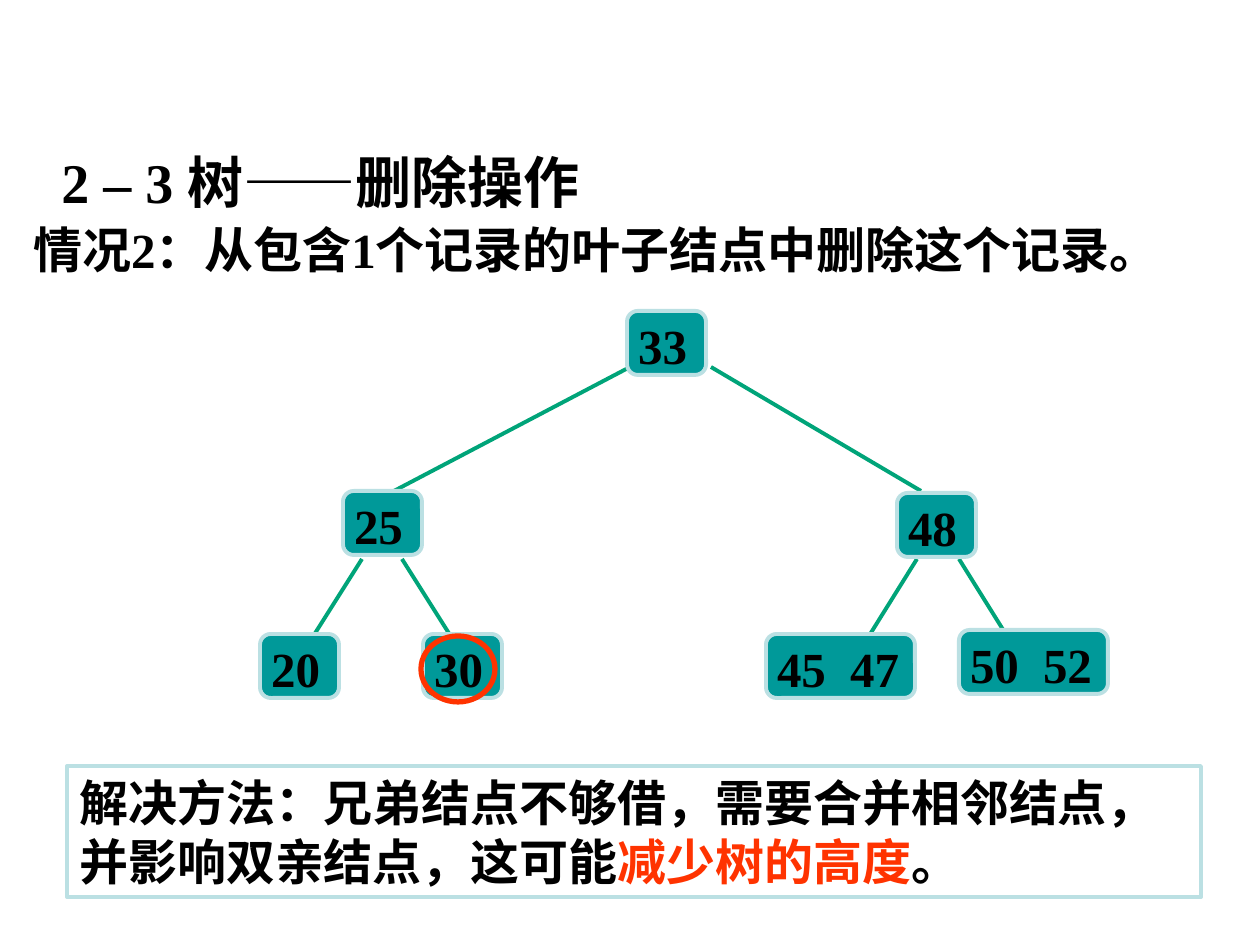
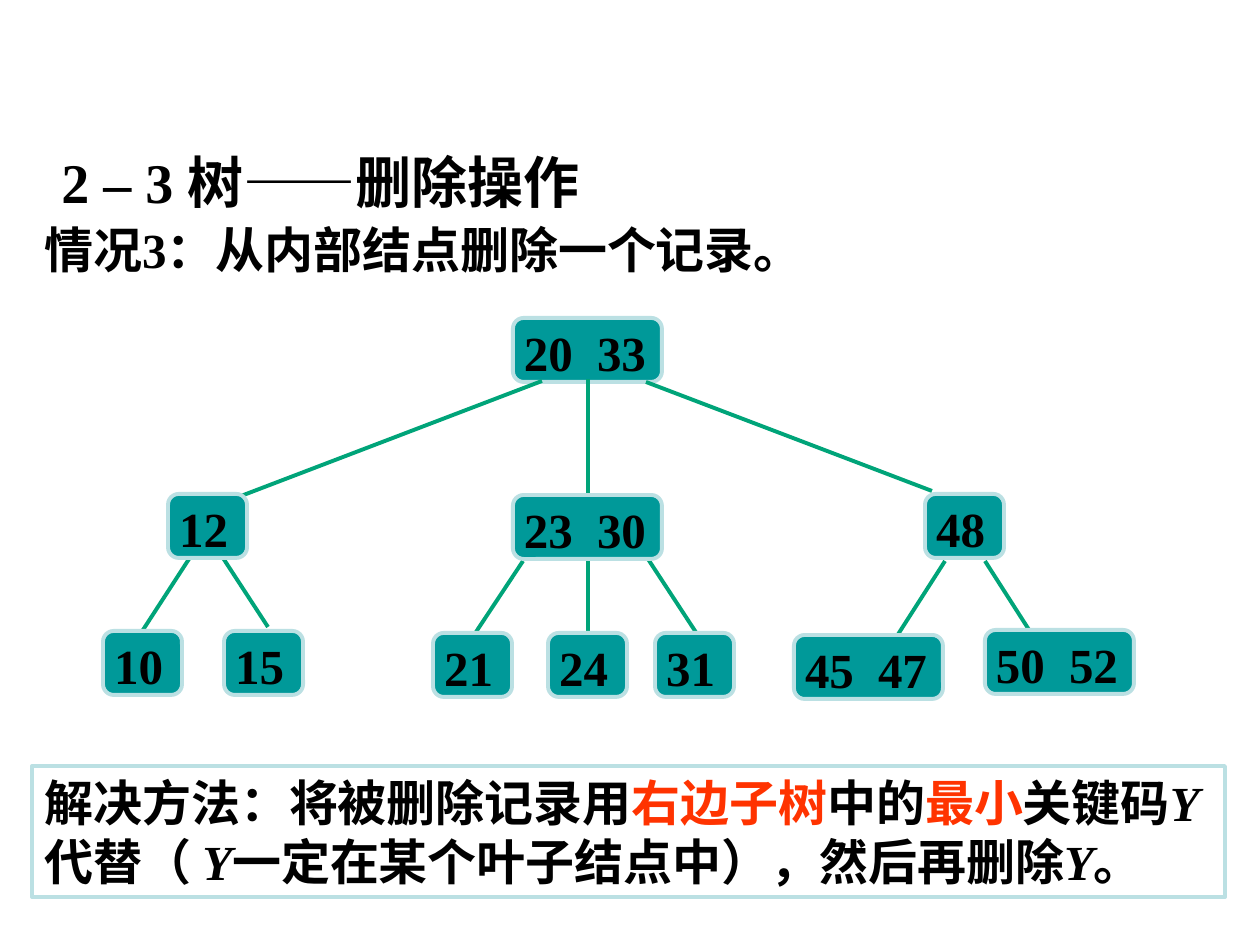
from lxml import etree
from pptx import Presentation
from pptx import util as u
from pptx.dml.color import RGBColor
from pptx.enum import lang, shapes, text
from pptx.oxml.ns import qn

DPI = 126
FONT = "Times New Roman"
INK, RED = "000000", "FF3300"
TEAL, PALE, GREEN = "009999", "BBE0E3", "00A479"
NODE_H, KEY_GAP = 64, 73
WIDTHS = {1: 79, 2: 149}  # node width by number of keys


def px(n):
    return u.Emu(round(n * 914400 / DPI))


def rgb(code):
    return RGBColor.from_string(code)


def style(font, size):
    font.name, font.size, font.bold = FONT, u.Pt(size), True
    font.color.rgb = rgb(INK)
    font.language_id = lang.MSO_LANGUAGE_ID.SIMPLIFIED_CHINESE


def label(slide, words, box, size, wrap=True, anchor=text.MSO_ANCHOR.MIDDLE):
    frame = slide.shapes.add_textbox(*map(px, box)).text_frame
    frame.word_wrap, frame.vertical_anchor = wrap, anchor
    frame.auto_size = text.MSO_AUTO_SIZE.SHAPE_TO_FIT_TEXT
    para = frame.paragraphs[0]
    style(para.font, size)
    para.add_run().text = words


def shape(slide, kind, box, line, fill=None, weight=2.25):
    item = slide.shapes.add_shape(kind, *map(px, box))
    item.shadow.inherit = False
    if fill:
        item.fill.solid()
        item.fill.fore_color.rgb = rgb(fill)
    else:
        item.fill.background()
    item.line.color.rgb = rgb(line)
    item.line.width = u.Pt(weight)
    return item


def edge(slide, x1, y1, x2, y2):
    line = slide.shapes.add_connector(
        shapes.MSO_CONNECTOR.STRAIGHT, *map(px, (x1, y1, x2, y2)))
    line.line.color.rgb = rgb(GREEN)
    line.line.width = u.Pt(2.25)
    etree.SubElement(line._element.spPr, qn("a:effectLst"))


def node(slide, x, y, *keys):
    """Draw a tree node; a tab stop sets its second key apart."""
    item = shape(slide, shapes.MSO_SHAPE.ROUNDED_RECTANGLE,
                 (x, y, WIDTHS[len(keys)], NODE_H), PALE, TEAL)
    frame = item.text_frame
    frame.word_wrap, frame.vertical_anchor = True, text.MSO_ANCHOR.TOP
    frame.margin_left, frame.margin_right = px(8), px(2)
    frame.margin_top = frame.margin_bottom = px(1)
    para = frame.paragraphs[0]
    para.alignment = text.PP_ALIGN.LEFT
    if len(keys) > 1:
        tabs = etree.SubElement(para._p.get_or_add_pPr(), qn("a:tabLst"))
        etree.SubElement(tabs, qn("a:tab"), pos=str(px(KEY_GAP)), algn="l")
    style(para.font, 28)
    para.add_run().text = "\t".join(map(str, keys))


def tree(slide, edges, nodes):
    for ends in edges:
        edge(slide, *ends)
    for spot in nodes:
        node(slide, *spot)


def answer(slide, x, width, runs):
    """Draw the framed solution; runs are (words, mark), mark "red" or "it"."""
    item = shape(slide, shapes.MSO_SHAPE.RECTANGLE, (x, 766, width, 131), PALE)
    frame = item.text_frame
    frame.word_wrap, frame.vertical_anchor = True, text.MSO_ANCHOR.MIDDLE
    para = frame.paragraphs[0]
    para.alignment = text.PP_ALIGN.LEFT
    style(para.font, 28)
    for words, mark in runs:
        run = para.add_run()
        run.text = words
        run.font.color.rgb = rgb(RED if mark == "red" else INK)
        if mark == "it":
            run.font.italic = True


def page(deck, case, x, width):
    slide = deck.slides.add_slide(deck.slide_layouts[6])
    label(slide, "2 – 3 树——删除操作", (49, 141, 576, 81), 32,
          anchor=text.MSO_ANCHOR.TOP)
    label(slide, case, (x, 213, width, 72), 28, wrap=False)
    return slide


def leaf(deck):
    slide = page(deck, "情况2：从包含1个记录的叶子结点中删除这个记录。", 21, 1208)
    tree(slide,
         [(630, 367, 394, 491), (711, 367, 921, 491),
          (362, 559, 314, 635), (402, 559, 450, 635),
          (917, 559, 869, 636), (959, 559, 1007, 636)],
         [(627, 311, 33), (343, 491, 25), (897, 493, 48),
          (260, 634, 20), (423, 634, 30),
          (766, 634, 45, 47), (959, 630, 50, 52)])
    shape(slide, shapes.MSO_SHAPE.OVAL, (421, 636, 74, 66), RED, weight=3)
    answer(slide, 67, 1134, [
        ("解决方法：兄弟结点不够借，需要合并相邻结点，并影响双亲结点，这可能", ""),
        ("减少树的高度", "red"), ("。", "")])


def inner(deck):
    slide = page(deck, "情况3：从内部结点删除一个记录。", 32, 818)
    node(slide, 513, 318, 20, 33)
    tree(slide,
         [(542, 381, 241, 496), (588, 379, 588, 494), (646, 382, 932, 491),
          (189, 559, 141, 633), (223, 558, 268, 627),
          (523, 561, 474, 635), (588, 561, 588, 636), (648, 559, 701, 640),
          (945, 561, 897, 636), (985, 561, 1033, 636)],
         [(168, 494, 12), (513, 495, 23, 30), (925, 494, 48),
          (103, 631, 10), (224, 631, 15),
          (433, 633, 21), (548, 633, 24), (655, 633, 31),
          (794, 635, 45, 47), (985, 630, 50, 52)])
    answer(slide, 32, 1193, [
        ("解决方法：将被删除记录用", ""), ("右边子树", "red"), ("中的", ""),
        ("最小", "red"), ("关键码", ""), ("Y", "it"), ("代替（ ", ""),
        ("Y", "it"), ("一定在某个叶子结点中），然后再删除", ""),
        ("Y", "it"), ("。", "")])


def main():
    deck = Presentation()
    deck.slide_width, deck.slide_height = px(1260), px(945)
    leaf(deck)
    inner(deck)
    deck.save("out.pptx")


if __name__ == "__main__":
    main()
